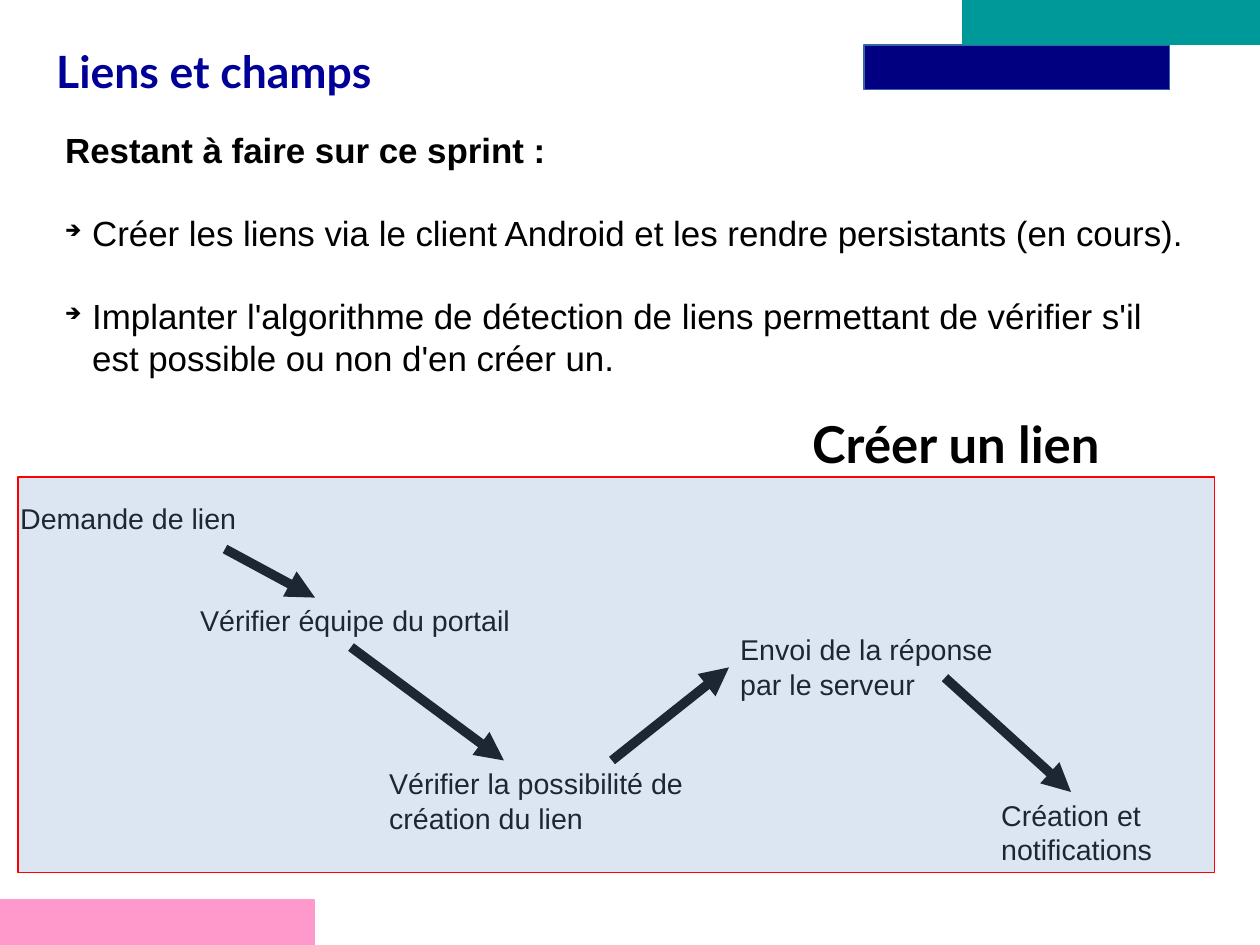
from dataclasses import dataclass

from lxml import etree
from pptx import Presentation
from pptx.dml.color import RGBColor
from pptx.enum.shapes import MSO_CONNECTOR, MSO_SHAPE
from pptx.enum.text import MSO_ANCHOR, MSO_AUTO_SIZE, PP_ALIGN
from pptx.oxml.ns import qn
from pptx.util import Cm, Pt

RECTANGLE = MSO_SHAPE.RECTANGLE
STRAIGHT = MSO_CONNECTOR.STRAIGHT
TOP = MSO_ANCHOR.TOP
LEFT = PP_ALIGN.LEFT
NO_AUTOFIT = MSO_AUTO_SIZE.NONE


@dataclass(frozen=True)
class Theme:
    """Colours, fonts and sizes of the slide."""
    heading_font: str = "Lato"
    body_font: str = "Arial"
    title_size: int = 28
    diagram_title_size: int = 32
    body_size: int = 22
    step_size: int = 18
    item_gap: int = 26
    arrow_width: int = 6
    bullet_percent: int = 45
    panel_opacity: int = 25
    title: str = "000099"
    text: str = "000000"
    navy: str = "000080"
    navy_edge: str = "3465A4"
    teal: str = "009999"
    pink: str = "FF99CC"
    panel: str = "729FCF"
    panel_edge: str = "FF0000"


class SlideBuilder:
    """Draws styled elements on the current slide."""

    def __init__(self, slide, theme):
        """Keep the slide and its theme."""
        self.slide = slide
        self.theme = theme

    def prepare_frame(self, shape):
        """Set margins, wrapping and anchor of a text shape."""
        frame = shape.text_frame
        frame.word_wrap = True
        frame.auto_size = NO_AUTOFIT
        frame.vertical_anchor = TOP
        frame.margin_left = frame.margin_right = Cm(0.25)
        frame.margin_top = frame.margin_bottom = Cm(0.13)
        return frame

    def add_styled_run(self, paragraph, text, size, font, color, bold=False):
        """Add one styled run to a paragraph."""
        paragraph.alignment = LEFT
        run = paragraph.add_run()
        run.text = text
        run.font.name = font
        run.font.size = Pt(size)
        run.font.bold = bold
        run.font.color.rgb = RGBColor.from_string(color)

    def title(self, text, box):
        """Place and fill the title placeholder."""
        shape = self.slide.shapes.title
        shape.left, shape.top, shape.width, shape.height = map(Cm, box)
        paragraph = self.prepare_frame(shape).paragraphs[0]
        theme = self.theme
        self.add_styled_run(paragraph, text, theme.title_size, theme.heading_font, theme.title, True)

    def text(self, text, box, size, font, bold=False):
        """Add a text box with one paragraph and return its frame."""
        frame = self.prepare_frame(self.slide.shapes.add_textbox(*map(Cm, box)))
        self.add_styled_run(frame.paragraphs[0], text, size, font, self.theme.text, bold)
        return frame

    def bullet_list(self, heading, items, box):
        """Add a bold heading followed by arrow bullets."""
        theme = self.theme
        frame = self.text(heading, box, theme.body_size, theme.body_font, True)
        for item in items:
            paragraph = frame.add_paragraph()
            self.add_bullet(paragraph)
            paragraph.space_before = Pt(theme.item_gap)
            self.add_styled_run(paragraph, item, theme.body_size, theme.body_font, theme.text)

    def add_bullet(self, paragraph):
        """Give a paragraph a hanging arrow bullet."""
        properties = paragraph._p.get_or_add_pPr()
        properties.set("marL", str(Cm(0.6)))
        properties.set("indent", str(-Cm(0.6)))
        color = etree.SubElement(properties, qn("a:buClr"))
        etree.SubElement(color, qn("a:srgbClr"), val=self.theme.text)
        etree.SubElement(properties, qn("a:buSzPct"), val=str(self.theme.bullet_percent * 1000))
        etree.SubElement(properties, qn("a:buChar"), char="➔")

    def rectangle(self, box, fill, edge, opacity=100):
        """Add a filled rectangle with a hairline edge."""
        shape = self.slide.shapes.add_shape(RECTANGLE, *map(Cm, box))
        shape.shadow.inherit = False
        shape.fill.solid()
        shape.fill.fore_color.rgb = RGBColor.from_string(fill)
        shape.line.color.rgb = RGBColor.from_string(edge)
        shape.line.width = Pt(0)
        if opacity < 100:
            color = shape._element.spPr.find(qn("a:solidFill")).find(qn("a:srgbClr"))
            etree.SubElement(color, qn("a:alpha"), val=str(opacity * 1000))

    def arrow(self, start, end):
        """Add a thick arrow between two points."""
        connector = self.slide.shapes.add_connector(STRAIGHT, *map(Cm, start + end))
        connector.line.color.rgb = RGBColor.from_string(self.theme.text)
        connector.line.width = Pt(self.theme.arrow_width)
        etree.SubElement(connector.line._get_or_add_ln(), qn("a:tailEnd"), type="triangle")
        etree.SubElement(connector._element.spPr, qn("a:effectLst"))


def main():
    """Build the slide and save it."""
    theme = Theme()
    presentation = Presentation()
    presentation.slide_width, presentation.slide_height = Cm(28), Cm(21)
    slide = presentation.slides.add_slide(presentation.slide_layouts[5])
    builder = SlideBuilder(slide, theme)

    builder.title("Liens et champs", (1, 0.85, 14.6, 1.6))
    builder.bullet_list(
        "Restant à faire sur ce sprint :",
        [
            "Créer les liens via le client Android et les rendre persistants (en cours).",
            "Implanter l'algorithme de détection de liens permettant de vérifier s'il "
            "est possible ou non d'en créer un.",
        ],
        (1.2, 2.72, 25.6, 7.2),
    )

    bands = [
        ((19.2, 1, 6.8, 1), theme.navy, theme.navy_edge),
        ((21.4, 0, 6.6, 1), theme.teal, theme.teal),
        ((0, 20, 7, 1), theme.pink, theme.pink),
    ]
    for box, fill, edge in bands:
        builder.rectangle(box, fill, edge)

    steps = [
        ("Demande de lien", (0.2, 11, 7.2, 0.97)),
        ("Vérifier équipe du portail", (4.2, 13.28, 9, 1.1)),
        ("Vérifier la possibilité de création du lien", (8.4, 16.9, 7.8, 1.9)),
        ("Envoi de la réponse par le serveur", (16.2, 13.92, 6.8, 1.9)),
        ("Création et notifications", (22, 17.6, 6, 1.7)),
    ]
    for label, box in steps:
        builder.text(label, box, theme.step_size, theme.body_font)

    arrows = [
        ((5, 12.2), (7, 13.28)),
        ((7.8, 14.38), (11.2, 16.9)),
        ((13.6, 16.9), (16.2, 14.83)),
        ((21, 15.06), (23.8, 17.6)),
    ]
    for start, end in arrows:
        builder.arrow(start, end)

    builder.text("Créer un lien", (17.8, 9.04, 10.2, 1.78),
                 theme.diagram_title_size, theme.heading_font, True)
    builder.rectangle((0.4, 10.6, 26.6, 8.8), theme.panel, theme.panel_edge, theme.panel_opacity)

    presentation.save("out.pptx")


if __name__ == "__main__":
    main()
